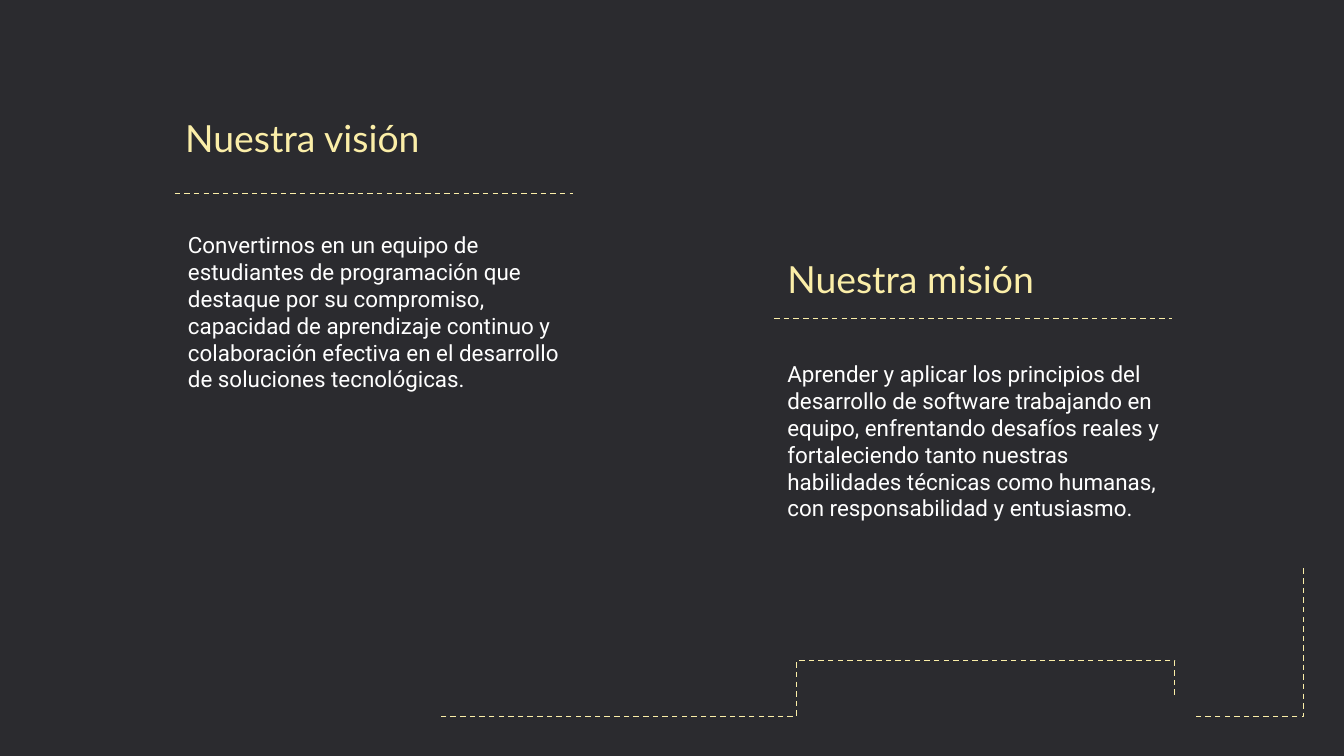
"""Build the vision and mission slide."""
from lxml.etree import SubElement
from pptx import Presentation
from pptx.dml.color import RGBColor
from pptx.enum.dml import MSO_LINE
from pptx.enum.shapes import MSO_CONNECTOR
from pptx.enum.text import MSO_ANCHOR
from pptx.oxml.ns import qn
from pptx.util import Inches, Pt

DARK = RGBColor(0x2B, 0x2B, 0x2F)
CREAM = RGBColor(0xFB, 0xEE, 0xA8)
WHITE = RGBColor(0xFF, 0xFF, 0xFF)

VISION = (
    "Convertirnos en un equipo de estudiantes de programación que destaque "
    "por su compromiso, capacidad de aprendizaje continuo y colaboración "
    "efectiva en el desarrollo de soluciones tecnológicas."
)
MISSION = (
    "Aprender y aplicar los principios del desarrollo de software trabajando "
    "en equipo, enfrentando desafíos reales y fortaleciendo tanto nuestras "
    "habilidades técnicas como humanas, con responsabilidad y entusiasmo."
)


def add_text(text, box, font, size, color, anchor):
    frame = slide.shapes.add_textbox(*map(Inches, box)).text_frame
    frame.word_wrap = True
    frame.vertical_anchor = anchor
    frame.margin_left = frame.margin_right = Inches(0.1)
    frame.margin_top = frame.margin_bottom = Inches(0.1)
    frame.text = text
    run = frame.paragraphs[0].runs[0]
    run.font.name = font
    run.font.size = Pt(size)
    run.font.color.rgb = color


def add_dash(kind, left, top, width, height):
    link = slide.shapes.add_connector(
        kind, Inches(left), Inches(top), Inches(left + width), Inches(top + height)
    )
    link.line.color.rgb = CREAM
    link.line.width = Pt(0.75)
    link.line.dash_style = MSO_LINE.DASH
    SubElement(link.element.spPr, qn("a:effectLst"))
    return link


deck = Presentation()
deck.slide_width = Inches(10)
deck.slide_height = Inches(10) * 9 // 16
slide = deck.slides.add_slide(deck.slide_layouts[6])
slide.background.fill.solid()
slide.background.fill.fore_color.rgb = DARK

trails = [
    ("bentConnector2", (8.75, 4.38, 1.1, 0.8), []),
    ("bentConnector4", (5.93, 2.52, 0.16, 5.46), [-160000, 51500]),
]
for preset, box, bends in trails:
    props = add_dash(MSO_CONNECTOR.ELBOW, *box).element.spPr
    props.find(qn("a:xfrm")).set("rot", str(90 * 60000))
    shape = props.find(qn("a:prstGeom"))
    shape.set("prst", preset)
    guides = shape.find(qn("a:avLst"))
    for index, bend in enumerate(bends, 1):
        SubElement(guides, qn("a:gd"), name=f"adj{index}", fmla=f"val {bend}")

blocks = [
    ("Nuestra visión", (1.28, 0.41, 2.57, 0.88), VISION, (1.3, 1.62, 3.15, 1.64), 1.44),
    ("Nuestra misión", (5.76, 1.46, 2.57, 0.88), MISSION, (5.76, 2.58, 3.05, 1.64), 2.37),
]
for title, head, body, area, top in blocks:
    add_text(title, head, "Lato", 20, CREAM, MSO_ANCHOR.BOTTOM)
    add_text(body, area, "Roboto", 12, WHITE, MSO_ANCHOR.TOP)
    add_dash(MSO_CONNECTOR.STRAIGHT, area[0], top, 2.96, 0)

deck.save("out.pptx")
